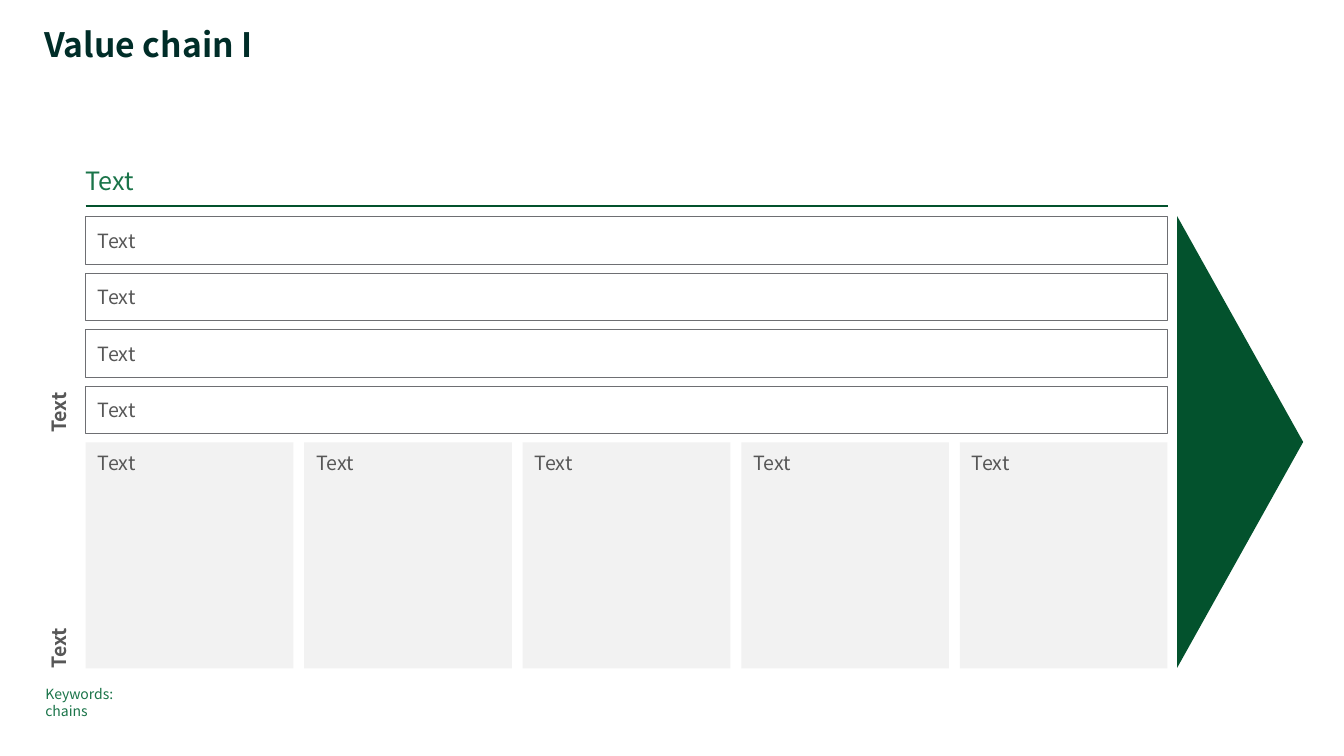
import pptx
import pptx.util
import pptx.dml.color
import pptx.enum.shapes
import pptx.enum.text
import lxml.etree

Inches = pptx.util.Inches
Pt = pptx.util.Pt
Shape = pptx.enum.shapes.MSO_SHAPE
Anchor = pptx.enum.text.MSO_ANCHOR
Fit = pptx.enum.text.MSO_AUTO_SIZE

FONT = "Noto Sans CJK JP"
GREEN, MID, DARK = "03522D", "1A7449", "002D28"
GREY, EDGE, PALE, WHITE = "575757", "6E6F73", "F2F2F2", "FFFFFF"
LEFT, WIDTH = 0.85, 10.73
PAD = (0.12, 0.08)


def color(code):
    return pptx.dml.color.RGBColor.from_string(code)


def write(shape, text, size, code, bold=False, anchor=Anchor.TOP,
          pad=(0, 0), grow=False):
    frame = shape.text_frame
    frame.margin_left = frame.margin_right = Inches(pad[0])
    frame.margin_top = frame.margin_bottom = Inches(pad[1])
    frame.word_wrap = True
    frame.vertical_anchor = anchor
    frame.auto_size = Fit.SHAPE_TO_FIT_TEXT if grow else Fit.NONE
    frame.text = text
    para = frame.paragraphs[0]
    para.alignment = pptx.enum.text.PP_ALIGN.LEFT
    font = para.font
    font.name, font.size, font.bold = FONT, Pt(size), bold
    font.color.rgb = color(code)
    return para


def place(shape, *box):
    shape.left, shape.top, shape.width, shape.height = map(Inches, box)


def add_block(slide, box, fill, edge=None, kind=Shape.RECTANGLE, turn=0):
    shape = slide.shapes.add_shape(kind, *map(Inches, box))
    shape.shadow.inherit = False
    shape.rotation = turn
    shape.fill.solid()
    shape.fill.fore_color.rgb = color(fill)
    if edge:
        shape.line.color.rgb = color(edge)
        shape.line.width = Pt(0.5)
    else:
        shape.line.fill.background()
    return shape


def add_rule(slide, top):
    ends = map(Inches, (LEFT, top, LEFT + WIDTH, top))
    rule = slide.shapes.add_connector(
        pptx.enum.shapes.MSO_CONNECTOR.STRAIGHT, *ends)
    rule.line.color.rgb = color(GREEN)
    rule.line.width = Pt(1.5)
    lxml.etree.SubElement(rule.element.spPr,
                          pptx.oxml.ns.qn("a:effectLst"))


def add_label(slide, box):
    """Add a bold label that reads upwards."""
    label = add_block(slide, box, WHITE, turn=270)
    write(label, "Text", 14, GREY, True, Anchor.BOTTOM, grow=True)


def main():
    deck = pptx.Presentation()
    deck.slide_width, deck.slide_height = Inches(13.33), Inches(7.5)
    slide = deck.slides.add_slide(deck.slide_layouts[5])

    title = slide.shapes.title
    place(title, 0.44, 0.28, 11.03, 0.37)
    para = write(title, "Value chain I", 24, DARK, True, grow=True)
    para.line_spacing = 0.9

    for row in range(4):
        bar = add_block(slide, (LEFT, 2.15 + 0.56 * row, WIDTH, 0.47),
                        WHITE, EDGE)
        write(bar, "Text", 14, GREY, anchor=Anchor.MIDDLE, pad=PAD)

    head = add_block(slide, (LEFT, 1.64, WIDTH, 0.3), WHITE)
    write(head, "Text", 18, MID, anchor=Anchor.BOTTOM, grow=True)

    wide, count = 2.06, 5
    step = (WIDTH - wide) / (count - 1)
    for col in range(count):
        panel = add_block(slide, (LEFT + step * col, 4.39, wide, 2.24), PALE)
        write(panel, "Text", 14, GREY, pad=PAD)

    add_block(slide, (10.06, 3.76, 4.48, 1.25), GREEN,
              kind=Shape.ISOSCELES_TRIANGLE, turn=90)
    add_rule(slide, 2.04)
    add_label(slide, (-0.5, 3.1, 2.15, 0.24))
    add_label(slide, (-0.54, 5.39, 2.24, 0.24))

    note = slide.shapes.add_textbox(*map(Inches, (0.45, 6.8, 1.09, 0.34)))
    write(note, "Keywords:\vchains", 10, MID)

    deck.save("out.pptx")


if __name__ == "__main__":
    main()
